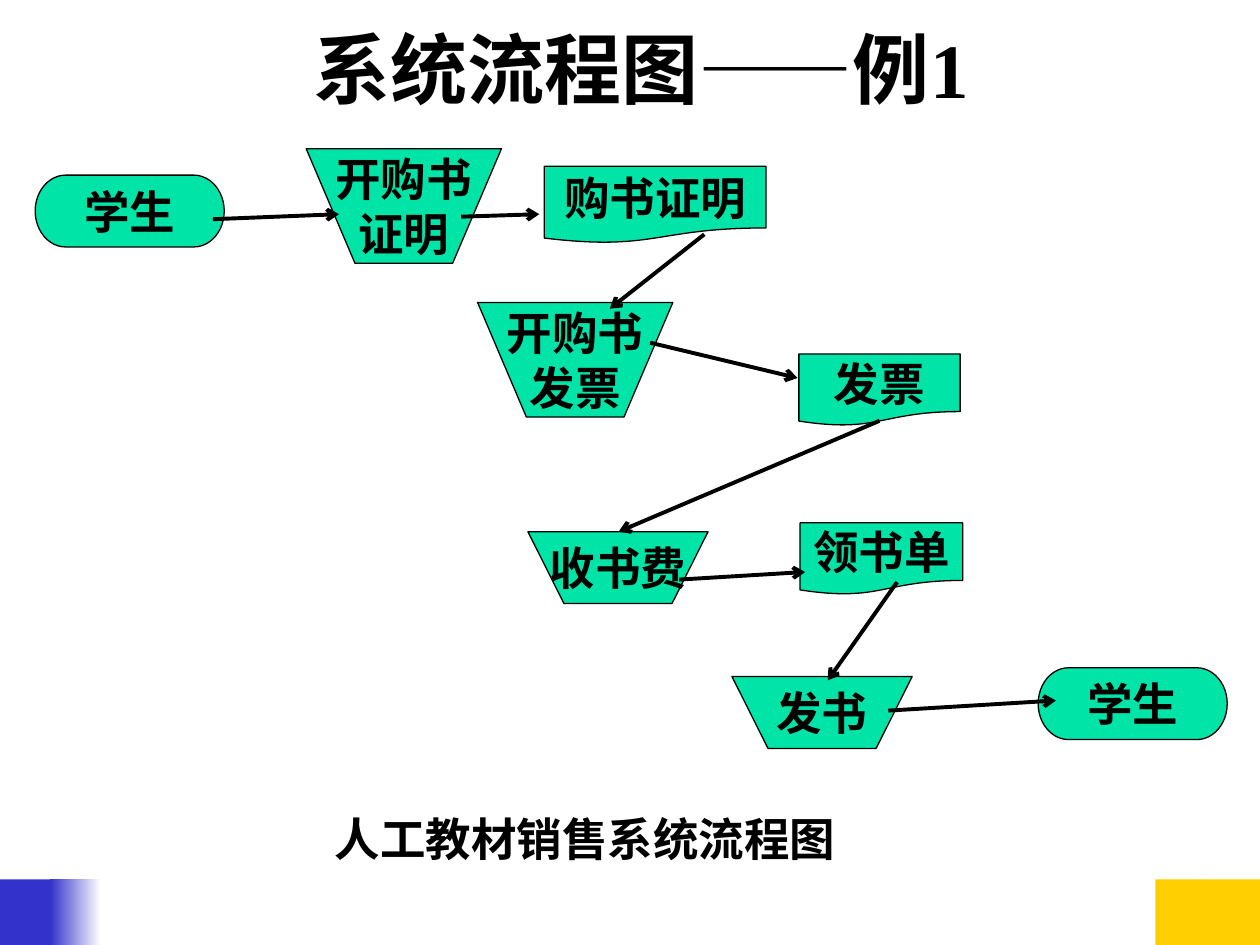
from collections import namedtuple

from lxml.etree import SubElement
from pptx import Presentation
from pptx.dml.color import RGBColor
from pptx.enum.shapes import MSO_CONNECTOR, MSO_SHAPE as Preset
from pptx.enum.text import MSO_ANCHOR as Anchor, PP_ALIGN as Align
from pptx.oxml.ns import qn
from pptx.util import Inches, Pt

Box = namedtuple("Box", "left top width height")

WIDTH, HEIGHT = Inches(10), Inches(7.5)
COLUMNS, ROWS = 100, 75
FONT = "Times New Roman"
COLORS = {
    "ink": "000000",
    "node": "00E4A8",
    "blue": "3333CC",
    "yellow": "FFCF01",
    "white": "FFFFFF",
}

# Name: kind, text, then left, top, width, height in grid units of the chart
NODES = {
    "buyer": ("terminator", "学生", 2.8, 3.9, 15, 5.7),
    "certify": ("trapezoid", "开购书\n证明", 24.3, 1.8, 15.5, 9.1),
    "certificate": ("document", "购书证明", 43.2, 3.2, 17.6, 6.1),
    "bill": ("trapezoid", "开购书\n发票", 37.9, 14, 15.5, 9.1),
    "invoice": ("document", "发票", 63.4, 18.1, 12.8, 5.7),
    "collect": ("operation", "收书费", 41.9, 32.2, 14.3, 5.7),
    "slip": ("document", "领书单", 63.5, 31.5, 12.9, 5.7),
    "deliver": ("operation", "发书", 58.1, 43.7, 14.3, 5.7),
    "receiver": ("terminator", "学生", 82.4, 43, 15, 5.7),
}
PRESETS = {
    "terminator": Preset.FLOWCHART_TERMINATOR,
    "document": Preset.FLOWCHART_DOCUMENT,
    "operation": Preset.FLOWCHART_MANUAL_OPERATION,
}
# Start and end of each step of the flow, in grid units of the chart
ARROWS = [
    ((16.9, 7.4), (26.9, 7)),
    ((36.6, 7.2), (42.8, 7)),
    ((55.9, 8.6), (48.4, 14.5)),
    ((51.6, 17.2), (63.3, 20)),
    ((69.8, 23.4), (49.1, 32.2)),
    ((53.9, 36), (63.9, 35.4)),
    ((71.2, 36.2), (65.7, 44)),
    ((70.5, 46.4), (83.8, 45.6)),
]


def color(name):
    return RGBColor.from_string(COLORS[name])


def x(columns):
    return round(WIDTH * columns / COLUMNS)


def y(rows):
    return round(HEIGHT * rows / ROWS)


def place(box):
    return x(box.left), y(box.top), x(box.width), y(box.height)


def write(shape, text, size, anchor=Anchor.MIDDLE, wrap=False, insets=(0.09, 0.04)):
    frame = shape.text_frame
    frame.word_wrap = wrap
    frame.vertical_anchor = anchor
    frame.margin_left = frame.margin_right = Inches(insets[0])
    frame.margin_top = frame.margin_bottom = Inches(insets[1])
    frame.text = text
    for para in frame.paragraphs:
        para.alignment = Align.CENTER
        para.font.name = FONT
        para.font.size = Pt(size)
        para.font.bold = True
        para.font.color.rgb = color("ink")


def add_title(page, box):
    title = page.shapes.add_textbox(*place(box))
    write(title, "系统流程图——例1", 44, Anchor.BOTTOM, True, (0.1, 0.05))


def add_caption(page, box):
    write(page.shapes.add_textbox(*place(box)), "人工教材销售系统流程图", 26)


def add_trapezoid(page, box):
    """Draw a manual-operation outline whose sides slope in by a quarter."""
    left, top, width, height = place(box)
    builder = page.shapes.build_freeform(left, top)
    builder.add_line_segments([
        (left + width, top),
        (left + width * 3 // 4, top + height),
        (left + width // 4, top + height),
    ])
    return builder.convert_to_shape()


def add_node(page, kind, text, box):
    if kind == "trapezoid":
        node = add_trapezoid(page, box)
    else:
        node = page.shapes.add_shape(PRESETS[kind], *place(box))
    node.shadow.inherit = False
    node.fill.solid()
    node.fill.fore_color.rgb = color("node")
    node.line.color.rgb = color("ink")
    node.line.width = Pt(0.75)
    write(node, text, 26)


def add_arrow(page, start, end):
    arrow = page.shapes.add_connector(
        MSO_CONNECTOR.STRAIGHT, x(start[0]), y(start[1]), x(end[0]), y(end[1]))
    arrow.line.color.rgb = color("ink")
    arrow.line.width = Pt(2.25)
    properties = arrow.element.spPr
    SubElement(properties.find(qn("a:ln")), qn("a:tailEnd"), type="arrow")
    SubElement(properties, qn("a:effectLst"))


def add_flow(page, box):
    for kind, text, left, top, width, height in NODES.values():
        add_node(page, kind, text,
                 Box(box.left + left, box.top + top, width, height))
    for step in ARROWS:
        start, end = [(box.left + across, box.top + down) for across, down in step]
        add_arrow(page, start, end)


def add_band(page, box, name):
    band = page.shapes.add_shape(Preset.RECTANGLE, *place(box))
    band.shadow.inherit = False
    band.line.fill.background()
    band.fill.solid()
    band.fill.fore_color.rgb = color(name)
    return band


def add_footer(page, box):
    """Place the yellow block at the right and the fading blue one at the left."""
    right = box.left + box.width
    add_band(page, box._replace(left=right - 4.8, width=4.8), "yellow")
    add_band(page, box._replace(left=right - 8.3, width=3.6), "yellow")
    add_band(page, box._replace(width=4.6), "blue")
    fade = add_band(page, box._replace(left=box.left + 4, width=4), "blue").fill
    fade.gradient()
    fade.gradient_angle = 180
    for stop, name in zip(fade.gradient_stops, ("white", "blue")):
        stop.color.rgb = color(name)


def main():
    deck = Presentation()
    deck.slide_width, deck.slide_height = WIDTH, HEIGHT
    page = deck.slides.add_slide(deck.slide_layouts[6])
    add_footer(page, Box(0, 69.8, COLUMNS, 5.2))
    add_title(page, Box(8.3, 0, 85.2, 9.5))
    add_flow(page, Box(0, 10, COLUMNS, 50))
    add_caption(page, Box(23.6, 64.4, 45.7, 4.3))
    deck.save("out.pptx")


if __name__ == "__main__":
    main()
